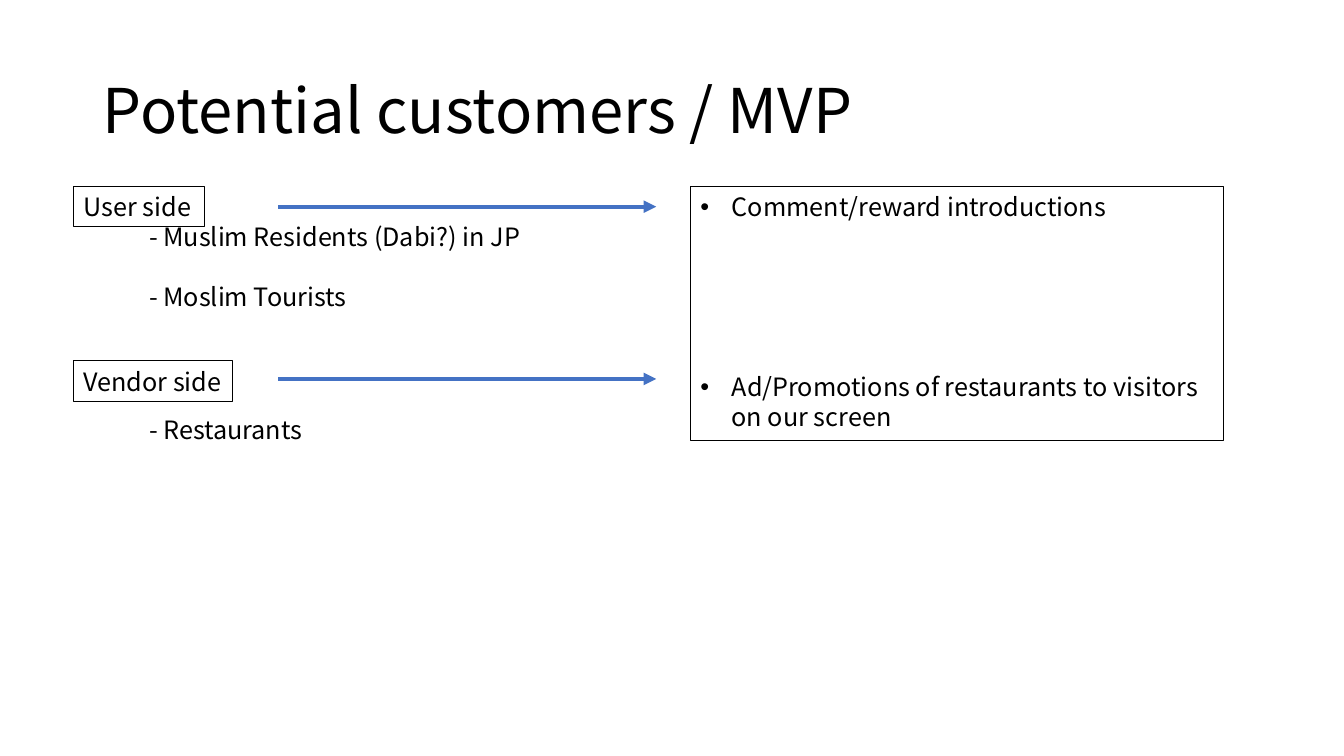
from collections import namedtuple

from lxml import etree
from pptx import Presentation
from pptx.dml.color import RGBColor
from pptx.enum.shapes import MSO_CONNECTOR
from pptx.enum.text import MSO_ANCHOR, MSO_AUTO_SIZE, PP_ALIGN
from pptx.oxml.ns import qn
from pptx.util import Inches, Pt

STRAIGHT = MSO_CONNECTOR.STRAIGHT
MIDDLE, TOP = MSO_ANCHOR.MIDDLE, MSO_ANCHOR.TOP
LEFT = PP_ALIGN.LEFT
FIT_SHAPE, FIT_NONE = MSO_AUTO_SIZE.SHAPE_TO_FIT_TEXT, MSO_AUTO_SIZE.NONE

COLORS = {"ink": "000000", "arrow": "4472C4"}
FONT = "Noto Sans CJK JP"
SLIDE_W, SLIDE_H = Inches(13.33), Inches(7.5)
COL, ROW = SLIDE_W / 100, SLIDE_H / 100
LABEL_H = 5.33
ITEM_INDENT = 4.87
ARROW_INDENT = 15.22
BULLET_INDENT = Inches(0.31)

Box = namedtuple("Box", "left top width height")
Side = namedtuple("Side", "box label label_width items items_top items_width arrow_top")

SIDES = [
    Side(Box(5.48, 24.67, 43.35, 17.47), "User side", 9.75,
         ["- Muslim Residents (Dabi?) in JP", "- Moslim Tourists"], 4, 30.23, 2.67),
    Side(Box(5.48, 47.73, 43.35, 11.73), "Vendor side", 11.85,
         ["- Restaurants"], 6.4, 13.43, 2.4),
]
MVP_ITEMS = [
    "Comment/reward introductions",
    "Ad/Promotions of restaurants to visitors on our screen",
]


def color(name):
    return RGBColor.from_string(COLORS[name])


def emu(box):
    return (round(box.left * COL), round(box.top * ROW),
            round(box.width * COL), round(box.height * ROW))


def style_paragraph(paragraph, size):
    paragraph.alignment = LEFT
    for run in paragraph.runs:
        run.font.size = Pt(size)
        run.font.name = FONT
        run.font.color.rgb = color("ink")


def add_text(slide, box, lines, gap=0, wrap=False, outlined=False):
    holder = slide.shapes.add_textbox(*emu(box))
    frame = holder.text_frame
    frame.text = "\n".join(lines)
    frame.word_wrap = wrap
    frame.auto_size = FIT_NONE if wrap else FIT_SHAPE
    frame.vertical_anchor = TOP
    for index, paragraph in enumerate(frame.paragraphs):
        style_paragraph(paragraph, 18)
        if index:
            paragraph.space_before = Pt(gap)
    if outlined:
        holder.line.color.rgb = color("ink")
        holder.line.width = Pt(0.75)
    return frame


def add_bullet(paragraph):
    properties = paragraph._p.get_or_add_pPr()
    properties.set("marL", str(BULLET_INDENT))
    properties.set("indent", str(-BULLET_INDENT))
    etree.SubElement(properties, qn("a:buFont"), typeface="Arial")
    etree.SubElement(properties, qn("a:buChar"), char="•")


def add_arrow(slide, start, end, top):
    y = round(top * ROW)
    arrow = slide.shapes.add_connector(STRAIGHT, round(start * COL), y, round(end * COL), y)
    arrow.line.color.rgb = color("arrow")
    arrow.line.width = Pt(3)
    etree.SubElement(arrow.line._get_or_add_ln(), qn("a:tailEnd"), type="triangle")
    etree.SubElement(arrow._element.spPr, qn("a:effectLst"))


def draw_title(slide, box, text):
    title = slide.shapes.title
    title.left, title.top, title.width, title.height = emu(box)
    frame = title.text_frame
    frame.text = text
    frame.vertical_anchor = MIDDLE
    frame.paragraphs[0].line_spacing = 0.9
    style_paragraph(frame.paragraphs[0], 44)


def draw_side(slide, side):
    box = side.box
    items_box = Box(box.left + ITEM_INDENT, box.top + side.items_top,
                    side.items_width, box.height - side.items_top)
    add_text(slide, items_box, side.items, gap=21)
    label_box = Box(box.left, box.top, side.label_width, LABEL_H)
    add_text(slide, label_box, [side.label], outlined=True)
    add_arrow(slide, box.left + ARROW_INDENT, box.left + box.width, box.top + side.arrow_top)


def draw_mvp(slide, box, items):
    frame = add_text(slide, box, items, gap=107, wrap=True, outlined=True)
    for paragraph in frame.paragraphs:
        add_bullet(paragraph)


def main():
    deck = Presentation()
    deck.slide_width, deck.slide_height = SLIDE_W, SLIDE_H
    slide = deck.slides.add_slide(deck.slide_layouts[5])
    draw_title(slide, Box(6.9, 5.33, 86.25, 19.33), "Potential customers / MVP")
    for side in SIDES:
        draw_side(slide, side)
    draw_mvp(slide, Box(51.38, 24.67, 39.68, 33.6), MVP_ITEMS)
    deck.save("out.pptx")


if __name__ == "__main__":
    main()
